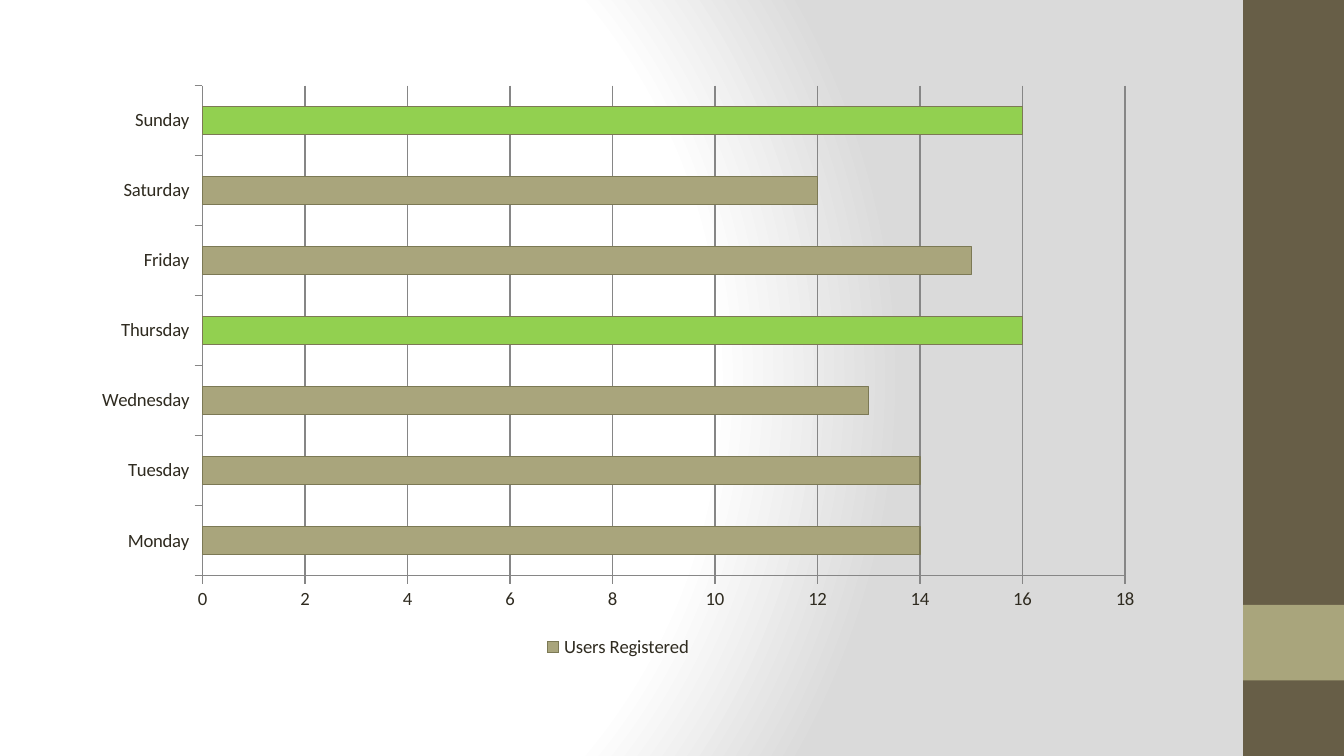
from lxml.etree import fromstring
from pptx import Presentation
from pptx.chart.data import CategoryChartData
from pptx.dml.color import RGBColor
from pptx.enum.chart import XL_CHART_TYPE, XL_LEGEND_POSITION, XL_TICK_MARK
from pptx.enum.shapes import MSO_SHAPE
from pptx.oxml.ns import qn
from pptx.util import Inches, Pt

COLORS = {
    "text": "2F2B20",
    "dark": "675E47",
    "khaki": "A9A57C",
    "outline": "7C7955",
    "peak": "92D050",
    "axis": "868686",
    "white": "FFFFFF",
    "grey": "DADADA",
}
NS = "http://schemas.openxmlformats.org/drawingml/2006/main"
USERS = {
    "Monday": 14,
    "Tuesday": 14,
    "Wednesday": 13,
    "Thursday": 16,
    "Friday": 15,
    "Saturday": 12,
    "Sunday": 16,
}


class Deck:
    font = "Calibri"
    size = 10

    def __init__(self, width, height):
        self.prs = Presentation()
        self.prs.slide_width = Inches(width)
        self.prs.slide_height = Inches(height)
        self.s = self.prs.slides.add_slide(self.prs.slide_layouts[6])

    def color(self, name):
        return RGBColor.from_string(COLORS[name])

    def box(self, x, y, w, h):
        width, height = self.prs.slide_width, self.prs.slide_height
        return int(x * width), int(y * height), int(w * width), int(h * height)

    def background(self, stops, focus):
        self.s.background.fill.solid()
        gs = "".join(
            f'<a:gs pos="{pos * 1000}"><a:srgbClr val="{COLORS[name]}"/></a:gs>'
            for pos, name in stops
        )
        rect = " ".join(f'{side}="{share * 1000}"' for side, share in zip("ltrb", focus))
        grad = fromstring(
            f'<a:gradFill xmlns:a="{NS}" rotWithShape="1"><a:gsLst>{gs}</a:gsLst>'
            f'<a:path path="circle"><a:fillToRect {rect}/></a:path></a:gradFill>'
        )
        solid = next(self.s.element.iter(qn("a:solidFill")))
        solid.getparent().replace(solid, grad)

    def band(self, x, y, w, h, name):
        sp = self.s.shapes.add_shape(MSO_SHAPE.RECTANGLE, *self.box(x, y, w, h))
        sp.shadow.inherit = False
        sp.fill.solid()
        sp.fill.fore_color.rgb = self.color(name)
        sp.line.fill.background()

    def line(self, fmt, name):
        fmt.line.color.rgb = self.color(name)
        fmt.line.width = Pt(0.75)

    def paint(self, fmt, name):
        fmt.fill.solid()
        fmt.fill.fore_color.rgb = self.color(name)
        self.line(fmt, "outline")

    def bar_chart(self, x, y, w, h, name, values):
        data = CategoryChartData()
        data.categories = list(values)
        data.add_series(name, list(values.values()))
        chart = self.s.shapes.add_chart(
            XL_CHART_TYPE.BAR_CLUSTERED, *self.box(x, y, w, h), data
        ).chart
        chart.has_title = False
        chart.font.name = self.font
        chart.font.size = Pt(self.size)
        chart.font.color.rgb = self.color("text")
        chart.has_legend = True
        chart.legend.position = XL_LEGEND_POSITION.BOTTOM
        chart.legend.include_in_layout = False

        for axis in (chart.category_axis, chart.value_axis):
            axis.major_tick_mark = XL_TICK_MARK.OUTSIDE
            axis.minor_tick_mark = XL_TICK_MARK.NONE
            self.line(axis.format, "axis")
        chart.value_axis.has_major_gridlines = True
        self.line(chart.value_axis.major_gridlines.format, "axis")

        plot = chart.plots[0]
        plot.gap_width = 150
        plot.vary_by_categories = False
        series = plot.series[0]
        self.paint(series.format, "khaki")
        top = max(values.values())
        for i, value in enumerate(values.values()):
            if value == top:
                self.paint(series.points[i].format, "peak")


def main():
    deck = Deck(10, 45 / 8)
    deck.background([(0, "white"), (75, "white"), (100, "grey")], (20, 50, 100, 50))
    deck.band(0.925, 0, 0.075, 1, "dark")
    deck.band(0.925, 0.8, 0.075, 0.1, "khaki")
    deck.bar_chart(0.06, 0.55 / 5.62, 0.8, 4.38 / 5.62, "Users Registered", USERS)
    deck.prs.save("out.pptx")


if __name__ == "__main__":
    main()
